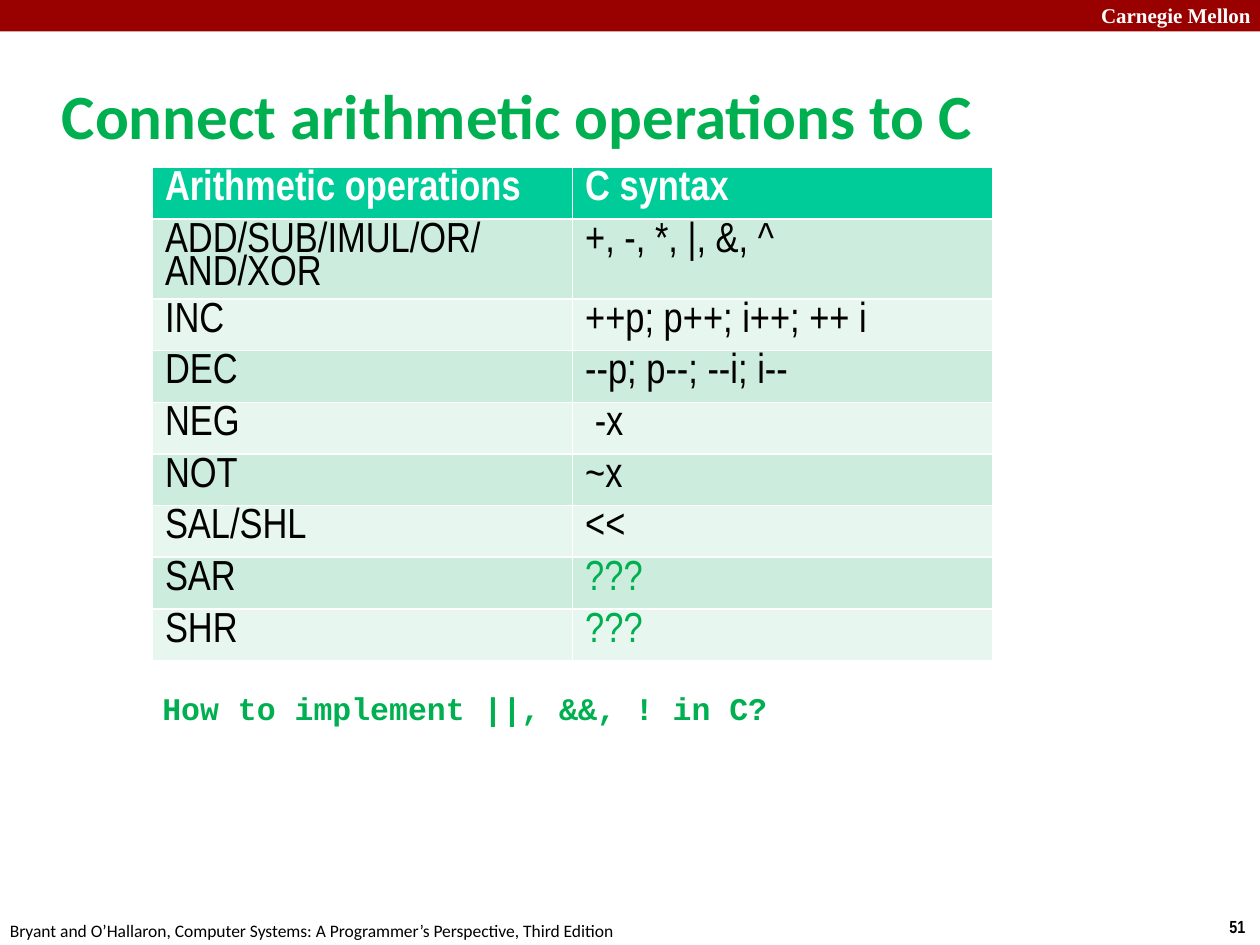
from dataclasses import dataclass

import pptx
import pptx.dml.color
import pptx.enum.shapes
import pptx.enum.text
import pptx.util
from pptx.util import Inches

GREEN = "00B050"
BLACK = "000000"
WHITE = "FFFFFF"
HEADER_FILL = "00CC99"
BAND_FILLS = ("CCECDE", "E7F6EF")
ROW_HEIGHT = 0.41


@dataclass
class Label:
    text: str
    left: float
    top: float
    width: float
    height: float
    font: str
    size: int
    color: str
    bold: bool = True
    wrap: bool = True


@dataclass
class Operation:
    name: str
    syntax: str
    syntax_color: str = BLACK


LABELS = [
    Label("Carnegie Mellon", 8.64, -0.03, 1.43, 0.3, "Times New Roman", 12, WHITE),
    Label("51", 9.66, 7.22, 0.34, 0.27, "Arial Narrow", 10, BLACK, wrap=False),
    Label("Bryant and O’Hallaron, Computer Systems: A Programmer’s Perspective, Third Edition",
          -0.02, 7.25, 5.08, 0.27, "Calibri", 10, BLACK, bold=False, wrap=False),
    Label("How to implement ||, &&, ! in C?", 1.19, 5.42, 7.03, 0.4, "Courier New", 18, GREEN),
]

OPERATIONS = [
    Operation("ADD/SUB/IMUL/OR/AND/XOR", "+, -, *, |, &, ^"),
    Operation("INC", "++p; p++; i++; ++ i"),
    Operation("DEC", "--p; p--; --i; i--"),
    Operation("NEG", " -x"),
    Operation("NOT", "~x"),
    Operation("SAL/SHL", "<<"),
    Operation("SAR", "???", GREEN),
    Operation("SHR", "???", GREEN),
]


def rgb(value: str) -> pptx.dml.color.RGBColor:
    return pptx.dml.color.RGBColor.from_string(value)


def write(frame, text: str, *, font: str, size: int, color: str,
          bold: bool = False, spacing: float = 1.0):
    para = frame.paragraphs[0]
    para.alignment = pptx.enum.text.PP_ALIGN.LEFT
    para.line_spacing = spacing
    span = para.add_run()
    span.text = text
    span.font.name = font
    span.font.size = pptx.util.Pt(size)
    span.font.bold = bold
    span.font.color.rgb = rgb(color)


def add_banner(page) -> None:
    banner = page.shapes.add_shape(pptx.enum.shapes.MSO_SHAPE.RECTANGLE,
                                   0, 0, Inches(10), Inches(0.25))
    banner.shadow.inherit = False
    banner.fill.solid()
    banner.fill.fore_color.rgb = rgb("990000")
    banner.line.fill.background()


def add_label(page, label: Label) -> None:
    box = page.shapes.add_textbox(Inches(label.left), Inches(label.top),
                                  Inches(label.width), Inches(label.height))
    box.text_frame.word_wrap = label.wrap
    write(box.text_frame, label.text, font=label.font, size=label.size,
          color=label.color, bold=label.bold)


def set_title(page, text: str) -> None:
    title = page.shapes.title
    title.left, title.top = Inches(0.39), Inches(0.49)
    title.width, title.height = Inches(8.3), Inches(0.83)
    title.text_frame.vertical_anchor = pptx.enum.text.MSO_ANCHOR.MIDDLE
    write(title.text_frame, text, font="Calibri", size=36, color=GREEN, bold=True)


def fill_cell(cell, text: str, *, fill: str, color: str, bold: bool = False) -> None:
    cell.fill.solid()
    cell.fill.fore_color.rgb = rgb(fill)
    write(cell.text_frame, text, font="Arial Narrow", size=24,
          color=color, bold=bold, spacing=0.85)


def add_operations_table(page, operations: list[Operation]) -> None:
    count = len(operations) + 1
    table = page.shapes.add_table(count, 2, Inches(1.21), Inches(1.33),
                                  Inches(6.67), Inches(ROW_HEIGHT * count)).table
    for row in table.rows:
        row.height = Inches(ROW_HEIGHT)
    for column, heading in enumerate(("Arithmetic operations", "C syntax")):
        fill_cell(table.cell(0, column), heading, fill=HEADER_FILL, color=WHITE, bold=True)
    for index, operation in enumerate(operations):
        fill = BAND_FILLS[index % 2]
        fill_cell(table.cell(index + 1, 0), operation.name, fill=fill, color=BLACK)
        fill_cell(table.cell(index + 1, 1), operation.syntax, fill=fill,
                  color=operation.syntax_color)


def main() -> None:
    deck = pptx.Presentation()
    deck.slide_width, deck.slide_height = Inches(10), Inches(7.5)
    page = deck.slides.add_slide(deck.slide_layouts.get_by_name("Title Only"))
    add_banner(page)
    set_title(page, "Connect arithmetic operations to C")
    add_operations_table(page, OPERATIONS)
    for label in LABELS:
        add_label(page, label)
    deck.save("out.pptx")


if __name__ == "__main__":
    main()
